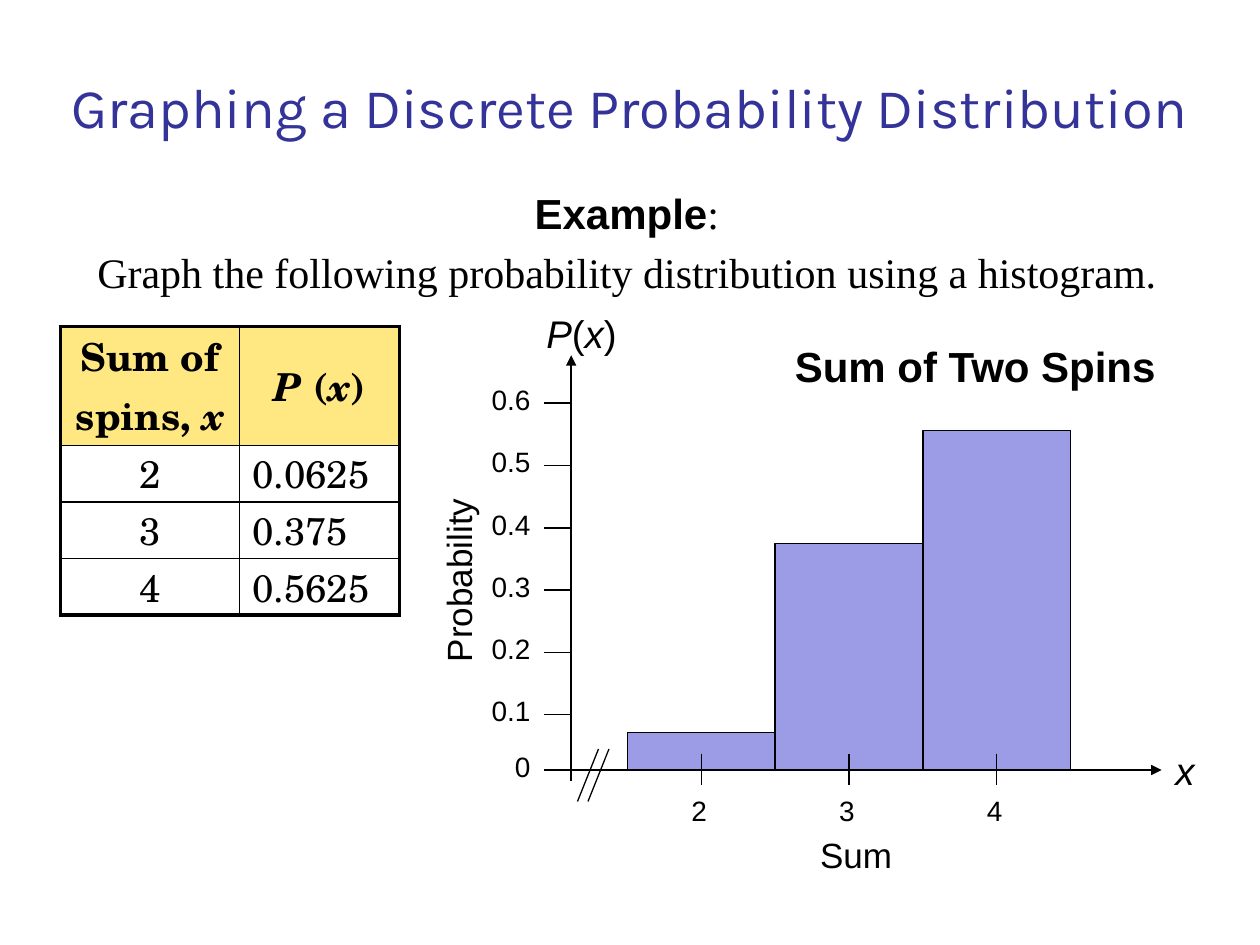
from lxml import etree
from pptx import Presentation
from pptx.dml.color import RGBColor
from pptx.enum.shapes import MSO_CONNECTOR, MSO_SHAPE
from pptx.enum.text import MSO_ANCHOR, MSO_AUTO_SIZE, PP_ALIGN
from pptx.oxml import parse_xml
from pptx.oxml.ns import nsdecls, qn
from pptx.util import Pt

LEFT, CENTER, RIGHT = PP_ALIGN.LEFT, PP_ALIGN.CENTER, PP_ALIGN.RIGHT
MIDDLE, TOP, BOTTOM = MSO_ANCHOR.MIDDLE, MSO_ANCHOR.TOP, MSO_ANCHOR.BOTTOM
LINE, RECT = MSO_CONNECTOR.STRAIGHT, MSO_SHAPE.RECTANGLE
BLACK = RGBColor(0, 0, 0)
NAVY = RGBColor(0x33, 0x33, 0x99)
BLUE = RGBColor(0x33, 0x33, 0xCC)
GOLD = RGBColor(0xFF, 0xCF, 0x01)
ALPHA = "49000"


def write(para, runs, align=CENTER, **base):
    """Add (text, changes) runs; each starts from the base font values."""
    para.alignment = align
    for text, diff in runs:
        run = para.add_run()
        run.text = text
        look = {"name": "Arial", "color": BLACK, **base, **diff}
        run.font.color.rgb = look.pop("color")
        for key, value in look.items():
            setattr(run.font, key, value)


def draw(start, end, width=0.87, arrow=False):
    line = slide.shapes.add_connector(LINE, *map(Pt, start + end))
    line.line.color.rgb = BLACK
    line.line.width = Pt(width)
    if arrow:
        tip = etree.SubElement(line.line._get_or_add_ln(), qn("a:headEnd"))
        tip.set("type", "triangle")
    etree.SubElement(line._element.spPr, qn("a:effectLst"))


prs = Presentation()
prs.slide_width, prs.slide_height = Pt(720), Pt(540)
slide = prs.slides.add_slide(prs.slide_layouts[5])

# Title
title = slide.shapes.title
title.left, title.top, title.width, title.height = map(Pt, (0, 5.8, 720, 77.8))
title.text_frame.auto_size = MSO_AUTO_SIZE.NONE
title.text_frame.vertical_anchor = BOTTOM
write(title.text_frame.paragraphs[0],
      [("Graphing a Discrete Probability Distribution", {})],
      name="Karla", size=Pt(32), color=NAVY)

# Table
ITALIC, ROMAN = {"italic": True}, {"italic": False}
rows = [
    ([("Sum of spins,", {}), (" x", ITALIC)],
     [("P", ITALIC), (" (", {}), ("x", ITALIC), (")", {})]),
    ([("2", {})], [("0.0625", {})]),
    ([("3", {})], [("0.375", {})]),
    ([("4", {})], [("0.5625", {})]),
]
last = len(rows) - 1
frame = slide.shapes.add_table(4, 2, Pt(34.6), Pt(186.5), Pt(193.7), Pt(165))
table = frame.table
table.first_row = table.horz_banding = False
for col, width in zip(table.columns, (102.2, 91.5)):
    col.width = Pt(width)
for i, row in enumerate(rows):
    table.rows[i].height = Pt(32.3 if i else 67.9)
    for j, runs in enumerate(row):
        cell = table.cell(i, j)
        cell.margin_top = cell.margin_bottom = 0
        cell.vertical_anchor = MIDDLE if (i, j) == (0, 1) else TOP
        write(cell.text_frame.paragraphs[0], runs,
              LEFT if i and j else CENTER,
              name="TeX Gyre Schola", size=Pt(22), bold=i == 0)
        outer = {"L": j == 0, "R": j == 1, "T": i == 0, "B": i == last}
        for side, thick in outer.items():
            cell._tc.get_or_add_tcPr().append(parse_xml(
                f'<a:ln{side} {nsdecls("a")} w="{Pt(2.25 if thick else 1)}">'
                f'<a:solidFill><a:srgbClr val="{BLACK}"/></a:solidFill>'
                f'</a:ln{side}>'))
        if i:
            cell.fill.background()
        else:
            cell.fill.solid()
            cell.fill.fore_color.rgb = GOLD
            tint = cell._tc.tcPr.find(qn("a:solidFill"))[0]
            etree.SubElement(tint, qn("a:alpha")).set("val", ALPHA)

# Task
box = slide.shapes.add_textbox(Pt(18), Pt(103.7), Pt(680.4), Pt(46.8))
task = box.text_frame
task.word_wrap = True
SERIF = {"name": "Times New Roman", "bold": False}
write(task.paragraphs[0], [("Example", {"bold": True}), (":", SERIF)],
      size=Pt(24))
para = task.add_paragraph()
para.space_before = Pt(4.8)
write(para, [("Graph the following probability distribution "
              "using a histogram.", SERIF)], size=Pt(24))

# Bars
base, start, step = 440, 358.6, 84.4
mids = [start + step * (i + 0.5) for i in range(3)]
for mid, prob in zip(mids, (0.0625, 0.375, 0.5625)):
    high = 345 * prob
    bar = slide.shapes.add_shape(
        RECT, Pt(mid - step / 2), Pt(base - high), Pt(step), Pt(high))
    bar.shadow.inherit = False
    bar.fill.solid()
    bar.fill.fore_color.rgb = BLUE
    tint = bar._element.spPr.find(qn("a:solidFill"))[0]
    etree.SubElement(tint, qn("a:alpha")).set("val", ALPHA)
    bar.line.color.rgb = BLACK
    bar.line.width = Pt(0.88)

# Axes, ticks and axis break
draw((326.4, 203), (326.4, 446.4), arrow=True)
draw((663.8, base), (321.8, base), arrow=True)
ticks = [(230.4 + 35.6 * i, f"0.{6 - i}") for i in range(6)] + [(base, "0")]
marks = []
for y, text in ticks:
    draw((311, y), (326.4, y))
    marks.append((text, 278, y - 11.8, 25.1, RIGHT))
for mid, text in zip(mids, "234"):
    draw((mid, 430.6), (mid, 448.6), 0.75)
    marks.append((text, mid - 6.3, 453.3, 10, CENTER))
for x in (342, 348):
    draw((x, 428), (x - 12, 458), 0.75)

for text, x, y, width, align in marks:
    box = slide.shapes.add_textbox(Pt(x), Pt(y), Pt(width), Pt(19.4))
    for side in ("left", "right", "top", "bottom"):
        setattr(box.text_frame, "margin_" + side, 0)
    write(box.text_frame.paragraphs[0], [(text, {})], align, size=Pt(16))

# Chart title and axis names
names = [
    ([("Sum of Two Spins", {"bold": True})], 24, (432, 190.8, 250.6, 36), 0),
    ([("x", ITALIC)], 22, (663.8, 423.4, 26.6, 33.8), 0),
    ([("Probability", {})], 20, (198.7, 316.1, 126, 31), 270),
    ([("Sum", {})], 20, (426.2, 473, 126, 31), 0),
    ([("P", ITALIC), ("(", ROMAN), ("x", ITALIC), (")", ROMAN)], 22,
     (301, 173.5, 62.6, 33.8), 0),
]
for runs, size, place, turn in names:
    box = slide.shapes.add_textbox(*map(Pt, place))
    box.rotation = turn
    box.text_frame.word_wrap = True
    write(box.text_frame.paragraphs[0], runs, size=Pt(size))

prs.save("out.pptx")
